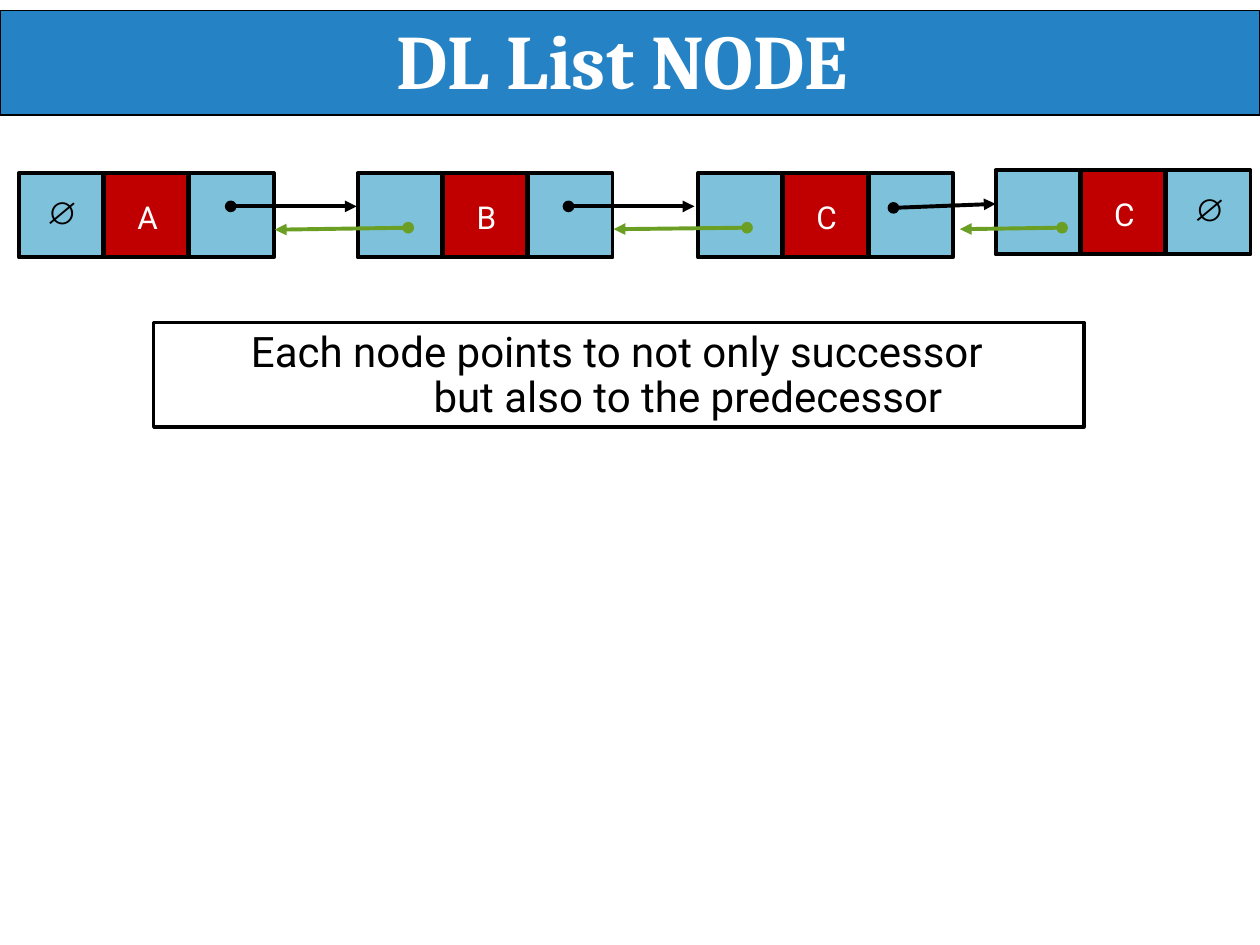
from lxml import etree
from pptx import Presentation
from pptx.dml.color import RGBColor
from pptx.enum.shapes import MSO_CONNECTOR, MSO_SHAPE
from pptx.enum.text import MSO_ANCHOR, PP_ALIGN
from pptx.oxml.ns import qn
from pptx.util import Cm, Pt

RECTANGLE = MSO_SHAPE.RECTANGLE
STRAIGHT = MSO_CONNECTOR.STRAIGHT
TOP = MSO_ANCHOR.TOP
LEFT, CENTER = PP_ALIGN.LEFT, PP_ALIGN.CENTER

COLORS = {
    "banner": "2583C5",
    "pointer": "7EC1DB",
    "data": "C00000",
    "back": "6B9F24",
    "ink": "000000",
    "white": "FFFFFF",
}
CELL = 1.7
CELL_STEP = 1.72
EMPTY = "∅"

# left, top, and the text of the previous, data and next cells
NODES = [
    (0.38, 3.49, (EMPTY, "A", "")),
    (7.21, 3.49, ("", "B", "")),
    (14.07, 3.49, ("", "C", "")),
    (20.07, 3.43, ("", "C", EMPTY)),
]
# start x, start y, end x, end y
NEXT_LINKS = [
    (4.65, 4.16, 7.19, 4.16),
    (11.46, 4.16, 14, 4.16),
    (18.01, 4.19, 20.07, 4.11),
]
PREVIOUS_LINKS = [
    (8.23, 4.59, 5.54, 4.63),
    (15.06, 4.59, 12.37, 4.62),
    (21.41, 4.59, 19.35, 4.62),
]


def color(name):
    return RGBColor.from_string(COLORS[name])


def add_box(page, left, top, width, height, fill=None, line_width=2.25):
    box = page.shapes.add_shape(
        RECTANGLE, Cm(left), Cm(top), Cm(width), Cm(height))
    box.shadow.inherit = False
    if fill:
        box.fill.solid()
        box.fill.fore_color.rgb = color(fill)
    else:
        box.fill.background()
    box.line.color.rgb = color("ink")
    box.line.width = Pt(line_width)
    return box


def write(box, spans, font, size, ink, align=LEFT, margins=(0, 0, 0), bold=False):
    """Fill a box with one paragraph; margins are left, top and right in cm."""
    frame = box.text_frame
    frame.word_wrap = True
    frame.vertical_anchor = TOP
    frame.margin_left, frame.margin_top, frame.margin_right = map(Cm, margins)
    frame.margin_bottom = 0
    para = frame.paragraphs[0]
    para.alignment = align
    for text in spans:
        span = para.add_run()
        span.text = text
        span.font.name = font
        span.font.size = Pt(size)
        span.font.bold = bold
        span.font.color.rgb = color(ink)
    return para


def add_node(page, left, top, texts):
    for index, text in enumerate(texts):
        is_data = index == 1
        cell = add_box(page, left + index * CELL_STEP, top, CELL, CELL,
                       "data" if is_data else "pointer")
        if is_data:
            write(cell, [text], "Roboto", 18, "white", CENTER, (0.05, 0.5, 0))
        elif text:
            write(cell, [text], "Arial", 18, "ink", CENTER, (0.05, 0.4, 0))


def add_link(page, ends, ink):
    """Draw a pointer with a dot at its start and an arrowhead at its end."""
    link = page.shapes.add_connector(STRAIGHT, *map(Cm, ends))
    link.line.color.rgb = color(ink)
    link.line.width = Pt(2.25)
    outline = link.line._get_or_add_ln()
    for tag, kind in (("a:headEnd", "oval"), ("a:tailEnd", "triangle")):
        etree.SubElement(outline, qn(tag), type=kind)
    etree.SubElement(link._element.spPr, qn("a:effectLst"))


def add_title(page):
    add_box(page, 0, 0.21, 25.4, 2.11, "banner", 0.75)
    title = page.shapes.add_textbox(Cm(4.04), Cm(0.23), Cm(17.32), Cm(1.93))
    write(title, ["DL List ", "NODE"], "Cambria", 44, "white",
          margins=(3.96, 0.03, 0), bold=True)


def add_caption(page):
    caption = add_box(page, 3.1, 6.5, 18.75, 2.11, line_width=2)
    para = write(caption,
                 ["Each node points to not only successor ",
                  "but also to the predecessor"],
                 "Roboto", 24, "ink", margins=(0, 0.16, 1.5))
    para.line_spacing = Pt(25.9)
    properties = para._p.get_or_add_pPr()
    properties.set("marL", str(Cm(5.64)))
    properties.set("indent", str(Cm(-3.68)))


def main():
    deck = Presentation()
    deck.slide_width, deck.slide_height = Cm(25.4), Cm(19.05)
    page = deck.slides.add_slide(deck.slide_layouts[6])
    add_title(page)
    for left, top, texts in NODES:
        add_node(page, left, top, texts)
    for ends in NEXT_LINKS:
        add_link(page, ends, "ink")
    for ends in PREVIOUS_LINKS:
        add_link(page, ends, "back")
    add_caption(page)
    deck.save("out.pptx")


if __name__ == "__main__":
    main()
